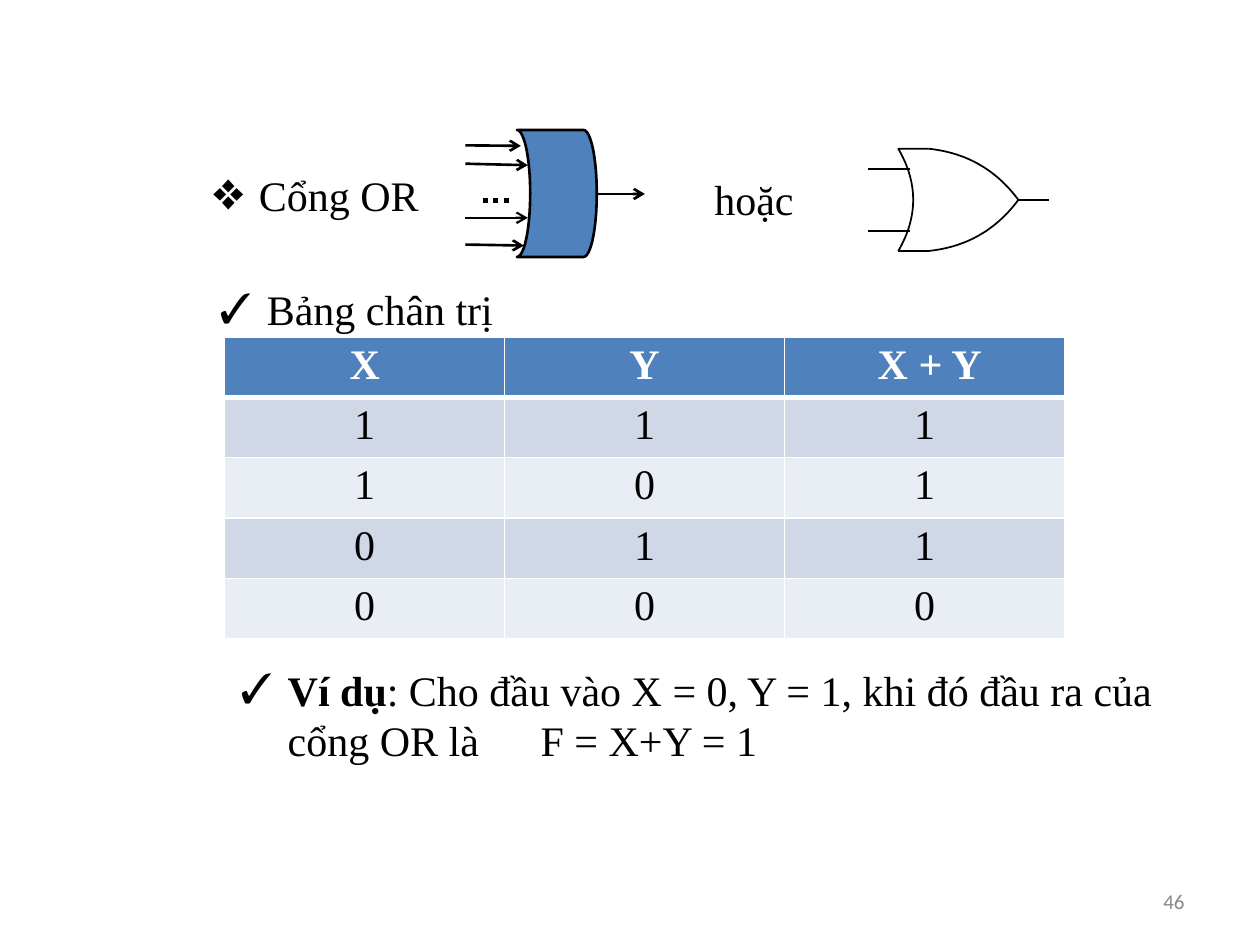
import lxml.etree
import pptx
import pptx.dml.color
import pptx.enum.dml
import pptx.enum.shapes
import pptx.enum.text
import pptx.oxml.ns
import pptx.util

Cm, Pt = pptx.util.Cm, pptx.util.Pt
qn = pptx.oxml.ns.qn
ALIGN = pptx.enum.text.PP_ALIGN
SERIF = "Times New Roman"
COLORS = {
    "black": "000000",
    "white": "FFFFFF",
    "blue": "4F81BD",
    "band_dark": "D0D8E8",
    "band_light": "E9EDF4",
    "gray": "898989",
}


def rgb(name):
    return pptx.dml.color.RGBColor.from_string(COLORS[name])


def add_element(parent, tag, **attributes):
    return lxml.etree.SubElement(parent, qn(tag), attributes)


def format_font(font, color="black", size=24, name=SERIF, bold=False):
    font.name, font.size, font.bold = name, Pt(size), bold
    font.color.rgb = rgb(color)


def add_text(s, box, text, bullet=None, lead="", tab=None):
    """Add a line of text with an optional bullet, bold lead-in and tab stop (cm)."""
    tf = s.shapes.add_textbox(*map(Cm, box)).text_frame
    tf.word_wrap = True
    tf.auto_size = pptx.enum.text.MSO_AUTO_SIZE.SHAPE_TO_FIT_TEXT
    p = tf.paragraphs[0]
    pPr = p._p.get_or_add_pPr()
    pPr.set("marL", str(Cm(0.95)))
    pPr.set("indent", str(-Cm(0.95)))
    if bullet:
        add_element(pPr, "a:buFont", typeface=SERIF)
        add_element(pPr, "a:buChar", char=bullet)
    if tab:
        add_element(add_element(pPr, "a:tabLst"), "a:tab", pos=str(Cm(tab)), algn="l")
    for part, bold in ((lead, True), (text, False)):
        if part:
            r = p.add_run()
            r.text = part
            format_font(r.font, bold=bold)


def add_line(group, start, end, width, arrow=False, dotted=False):
    line = group.shapes.add_connector(
        pptx.enum.shapes.MSO_CONNECTOR.STRAIGHT, *map(Cm, (*start, *end)))
    line.line.color.rgb = rgb("black")
    line.line.width = Pt(width)
    if dotted:
        line.line.dash_style = pptx.enum.dml.MSO_LINE.ROUND_DOT
    if arrow:
        add_element(line.line._get_or_add_ln(), "a:tailEnd", type="arrow")
    add_element(line._element.spPr, "a:effectLst")


def arc(start, end, bulge, steps=32):
    """Points of a shallow curve that leaves its chord by bulge at the middle."""
    dx, dy = end[0] - start[0], end[1] - start[1]
    length = (dx * dx + dy * dy) ** 0.5
    points = []
    for i in range(steps + 1):
        t = i / steps
        offset = 4 * bulge * t * (1 - t) / length
        points.append((start[0] + t * dx + offset * dy, start[1] + t * dy - offset * dx))
    return points


def add_outline(group, points):
    """Add an open outline through points given in cm."""
    first, *rest = [(Cm(x), Cm(y)) for x, y in points]
    builder = group.shapes.build_freeform(*first)
    builder.add_line_segments(rest, close=False)
    sp = builder.convert_to_shape()
    sp.shadow.inherit = False
    sp.fill.background()
    sp.line.color.rgb = rgb("black")
    sp.line.width = Pt(1)


def add_block_gate(s):
    """OR gate with many inputs, drawn as a filled block."""
    group = s.shapes.add_group_shape()
    sp = group.shapes.add_shape(
        pptx.enum.shapes.MSO_SHAPE.FLOWCHART_STORED_DATA,
        Cm(10.42), Cm(2.62), Cm(1.61), Cm(2.56))
    sp.rotation = 180
    sp.shadow.inherit = False
    sp.fill.solid()
    sp.fill.fore_color.rgb = rgb("blue")
    sp.line.color.rgb = rgb("black")
    sp.line.width = Pt(1.5)
    inputs = ((10.5, 2.93, 2.94, 1.5), (10.64, 3.3, 3.33, 1.5),
              (10.64, 4.39, 4.39, 1.25), (10.56, 4.93, 4.95, 1.5))
    for end_x, y1, y2, width in inputs:
        add_line(group, (9.38, y1), (end_x, y2), width, arrow=True)
    add_line(group, (9.73, 4.04), (10.36, 4.04), 3, dotted=True)
    add_line(group, (12.04, 3.91), (13, 3.91), 1.5, arrow=True)


def add_curved_gate(s):
    """OR gate with two inputs, drawn as the usual curved symbol."""
    group = s.shapes.add_group_shape()
    back, shoulder, top, bottom = 18.11, 18.72, 3.0, 5.06
    tip = (20.53, (top + bottom) / 2)
    add_outline(group, arc((back, bottom), (back, top), -0.3) + [(shoulder, top)])
    add_line(group, (back, bottom), (shoulder, bottom), 1)
    add_outline(group, arc((shoulder, top), tip, 0.23))
    add_outline(group, arc(tip, (shoulder, bottom), 0.23))
    for y in (3.41, 4.65):
        add_line(group, (17.5, y), (18.34, y), 1)
    add_line(group, tip, (21.14, tip[1]), 0.75)


def set_borders(cell, top, bottom):
    tcPr = cell._tc.get_or_add_tcPr()
    for side, width in (("L", 1), ("R", 1), ("T", top), ("B", bottom)):
        ln = add_element(tcPr, f"a:ln{side}", w=str(Pt(width)))
        add_element(add_element(ln, "a:solidFill"), "a:srgbClr", val=COLORS["white"])


def add_truth_table(s):
    rows = [("X", "Y", " X + Y")]
    rows += [(str(x), str(y), str(x | y)) for x in (1, 0) for y in (1, 0)]
    table = s.shapes.add_table(
        len(rows), 3, Cm(4.53), Cm(6.79), Cm(16.93), Cm(6)).table
    for i, row in enumerate(rows):
        header = i == 0
        fill = "blue" if header else ("band_light", "band_dark")[i % 2]
        for j, text in enumerate(row):
            cell = table.cell(i, j)
            set_borders(cell, 3 if i == 1 else 1, 3 if header else 1)
            cell.fill.solid()
            cell.fill.fore_color.rgb = rgb(fill)
            cell.margin_left = cell.margin_right = Cm(0.19)
            cell.margin_top = cell.margin_bottom = Cm(0.1)
            p = cell.text_frame.paragraphs[0]
            p.text = text
            p.alignment = ALIGN.CENTER
            format_font(p.runs[0].font, "white" if header else "black", bold=header)


def add_slide_number(s, number):
    tf = s.shapes.add_textbox(Cm(18.2), Cm(17.66), Cm(5.93), Cm(1.01)).text_frame
    tf.word_wrap = True
    tf.vertical_anchor = pptx.enum.text.MSO_ANCHOR.MIDDLE
    p = tf.paragraphs[0]
    p.text = number
    p.alignment = ALIGN.RIGHT
    format_font(p.runs[0].font, "gray", 12, "Calibri")


def main():
    prs = pptx.Presentation()
    prs.slide_width, prs.slide_height = Cm(25.4), Cm(19.05)
    s = prs.slides.add_slide(prs.slide_layouts[6])
    add_text(s, (4.02, 3.3, 9.73, 1.28), "Cổng OR", "❖")
    add_block_gate(s)
    add_text(s, (4.18, 5.6, 7.85, 1.28), "Bảng chân trị", "✓")
    add_text(s, (4.6, 13.27, 19.56, 2.31),
             ": Cho đầu vào X = 0, Y = 1, khi đó đầu ra của cổng OR là\tF = X+Y = 1",
             "✓", lead="Ví dụ", tab=6.05)
    add_truth_table(s)
    add_curved_gate(s)
    add_text(s, (14.15, 3.38, 3.58, 1.28), "hoặc")
    add_slide_number(s, "46")
    prs.save("out.pptx")


if __name__ == "__main__":
    main()
